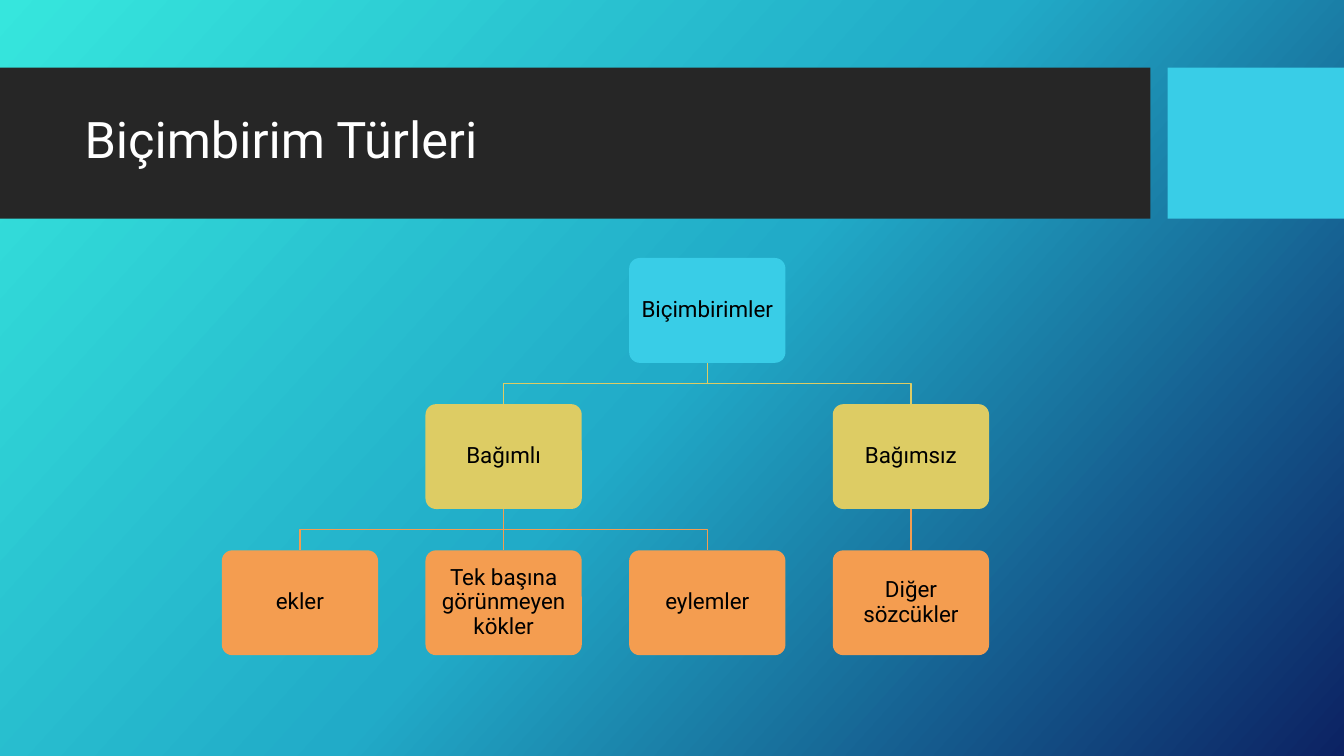
from copy import deepcopy
from dataclasses import dataclass
from typing import Optional

from pptx import Presentation
from pptx.dml.color import RGBColor
from pptx.enum.shapes import MSO_CONNECTOR as Link, MSO_SHAPE as Kind
from pptx.enum.text import MSO_ANCHOR as Anchor, PP_ALIGN as Align
from pptx.oxml.ns import qn
from pptx.oxml.xmlchemy import OxmlElement as make_tag
from pptx.shapes.autoshape import Shape
from pptx.slide import Slide
from pptx.util import Inches, Pt

BLACK = RGBColor(0x00, 0x00, 0x00)
WHITE = RGBColor(0xFF, 0xFF, 0xFF)
DARK = RGBColor(0x26, 0x26, 0x26)
CYAN = RGBColor(0x39, 0xCD, 0xE7)
GOLD = RGBColor(0xDD, 0xCC, 0x64)
ORANGE = RGBColor(0xF4, 0x9D, 0x50)
BLEND = [(0, RGBColor(0x36, 0xE6, 0xDD)),
         (0.5, RGBColor(0x21, 0xAB, 0xC8)),
         (1, RGBColor(0x0C, 0x22, 0x63))]
TINTS = [CYAN, GOLD, ORANGE]

FONT = "Roboto"
LEFT, TOP = 2.2, 2.56
WIDE, HIGH = 1.55, 1.04
STEP_X, STEP_Y = 2.02, 1.45
INSET = Inches(0.07)
NODE_FRAME = {"word_wrap": True, "vertical_anchor": Anchor.MIDDLE,
              "margin_left": INSET, "margin_right": INSET,
              "margin_top": INSET, "margin_bottom": INSET}
HEAD_FRAME = {"word_wrap": True, "vertical_anchor": Anchor.MIDDLE}


@dataclass(frozen=True)
class Node:
    text: str
    col: int
    row: int
    parent: Optional[int] = None


NODES = [
    Node("Biçimbirimler", 2, 0),
    Node("Bağımlı", 1, 1, 0),
    Node("Bağımsız", 3, 1, 0),
    Node("ekler", 0, 2, 1),
    Node("Tek başına görünmeyen kökler", 1, 2, 1),
    Node("eylemler", 2, 2, 1),
    Node("Diğer sözcükler", 3, 2, 2),
]


def set_all(target: object, values: dict) -> None:
    for name, value in values.items():
        setattr(target, name, value)


def write(shape: Shape, text: str, frame: dict, para: dict, font: dict,
          tint: RGBColor) -> None:
    set_all(shape.text_frame, frame)
    line = shape.text_frame.paragraphs[0]
    set_all(line, {"line_spacing": 0.9, **para})
    run = line.add_run()
    run.text = text
    set_all(run.font, {"name": FONT, **font})
    run.font.color.rgb = tint


def add_box(slide: Slide, kind: Kind, left: float, top: float,
            width: float, height: float, tint: RGBColor) -> Shape:
    box = slide.shapes.add_shape(kind, Inches(left), Inches(top),
                                 Inches(width), Inches(height))
    box.shadow.inherit = False
    box.fill.solid()
    box.fill.fore_color.rgb = tint
    box.line.fill.background()
    return box


def add_node(slide: Slide, node: Node) -> Shape:
    box = add_box(slide, Kind.ROUNDED_RECTANGLE, LEFT + node.col * STEP_X,
                  TOP + node.row * STEP_Y, WIDE, HIGH, TINTS[node.row])
    box.adjustments[0] = 0.1
    write(box, node.text, NODE_FRAME, {"alignment": Align.CENTER},
          {"size": Pt(16)}, BLACK)
    return box


def add_link(slide: Slide, start: Shape, end: Shape, tint: RGBColor) -> None:
    """Join two nodes: straight in one column, else with two right angles."""
    x1, y1 = start.left + start.width // 2, start.top + start.height
    x2, y2 = end.left + end.width // 2, end.top
    if x1 == x2:
        link = slide.shapes.add_connector(Link.STRAIGHT, x1, y1, x2, y2)
        link.begin_connect(start, 2)
        link.end_connect(end, 0)
        link._element.spPr.append(make_tag("a:effectLst"))
    else:
        mid = (y1 + y2) // 2
        form = slide.shapes.build_freeform(x1, y1)
        form.add_line_segments([(x1, mid), (x2, mid), (x2, y2)], close=False)
        link = form.convert_to_shape()
        link.shadow.inherit = False
        link.fill.background()
    link.line.color.rgb = tint
    link.line.width = Pt(1)


def paint_back(slide: Slide) -> None:
    fill = slide.background.fill
    fill.gradient()
    fill.gradient_angle = 360 - 42
    stops = slide._element.find(".//" + qn("a:gsLst"))
    stops.append(deepcopy(stops[0]))
    for stop, (place, tint) in zip(fill.gradient_stops, BLEND):
        stop.position = place
        stop.color.rgb = tint


def add_head(slide: Slide) -> None:
    add_box(slide, Kind.RECTANGLE, 0, 0.67, 11.41, 1.5, DARK)
    add_box(slide, Kind.RECTANGLE, 11.58, 0.67, 1.75, 1.5, CYAN)
    title = slide.shapes.add_textbox(Inches(0.74), Inches(0.82),
                                     Inches(10.51), Inches(1.18))
    write(title, "Biçimbirim Türleri", HEAD_FRAME, {}, {"size": Pt(36)}, WHITE)


def main() -> None:
    deck = Presentation()
    set_all(deck, {"slide_width": Inches(13.33), "slide_height": Inches(7.5)})
    slide = deck.slides.add_slide(deck.slide_layouts[6])
    paint_back(slide)
    add_head(slide)
    boxes = [add_node(slide, node) for node in NODES]
    for node, box in zip(NODES, boxes):
        if node.parent is not None:
            add_link(slide, boxes[node.parent], box, TINTS[node.row])
    deck.save("out.pptx")


if __name__ == "__main__":
    main()
